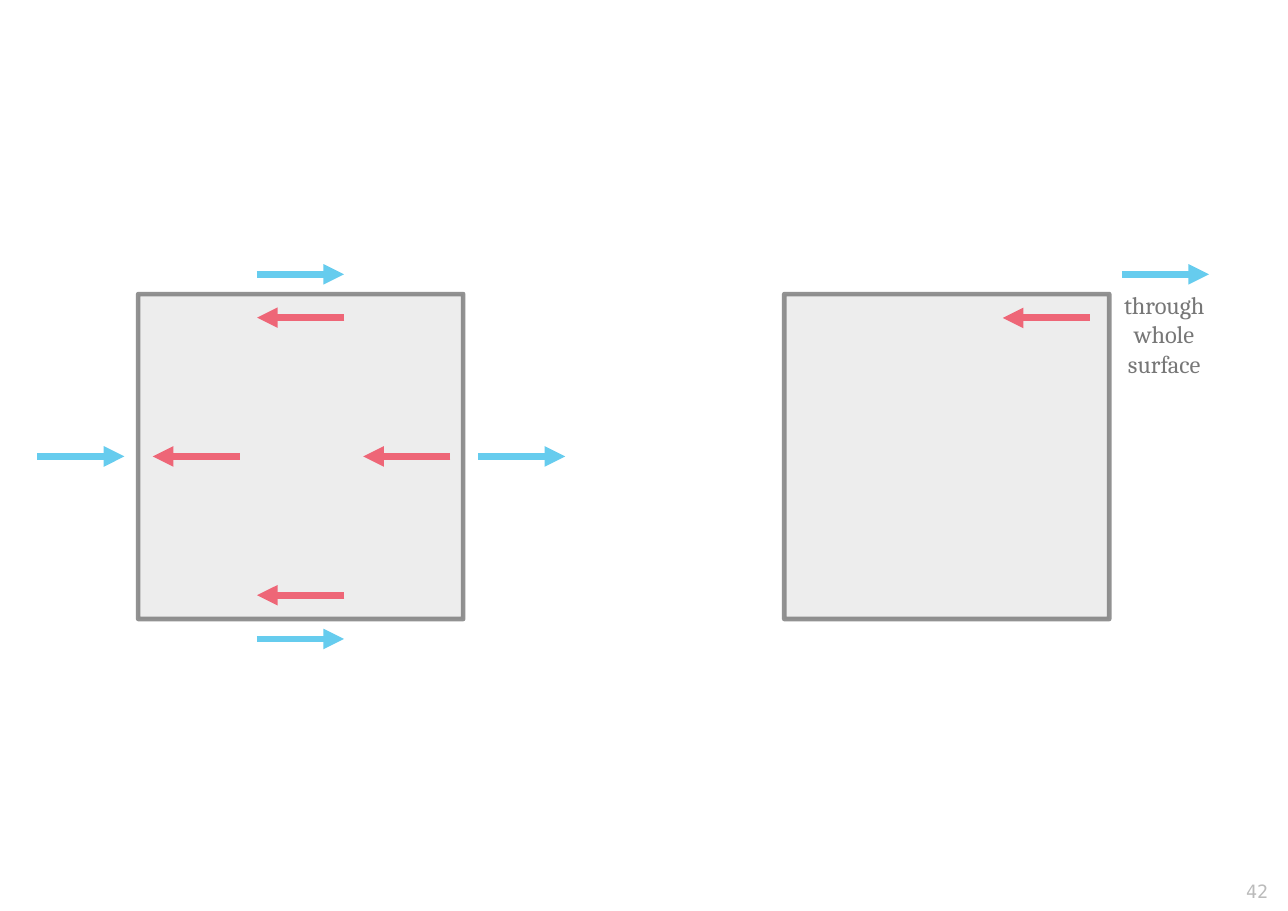
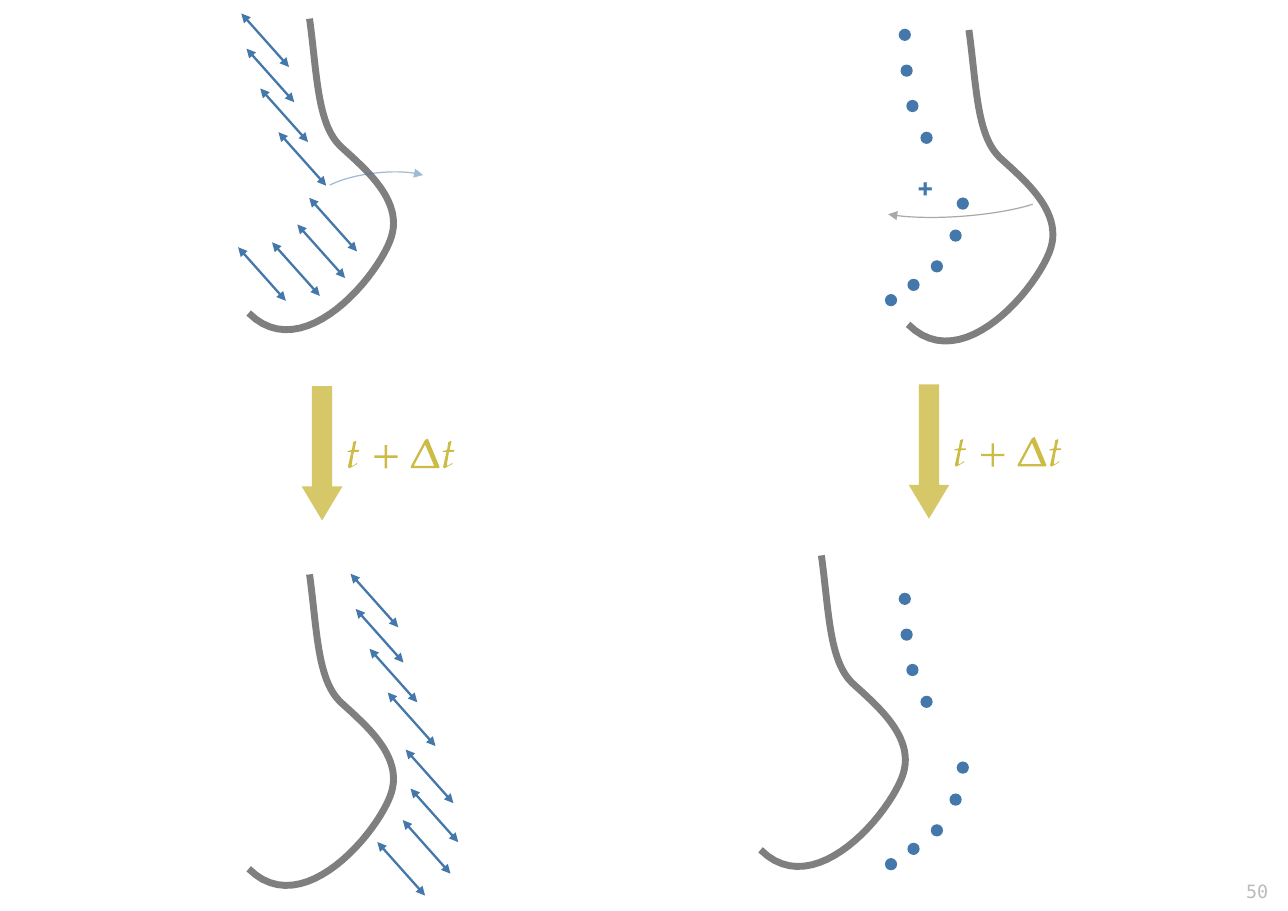
"""Build two slides on motion at surfaces: arrows around squares and moving curves."""
from dataclasses import dataclass
from typing import NamedTuple

from lxml.etree import SubElement
from pptx import Presentation
from pptx.dml.color import RGBColor
from pptx.enum.shapes import MSO_CONNECTOR as Connector, MSO_SHAPE as Preset
from pptx.enum.text import MSO_AUTO_SIZE as AutoSize, PP_ALIGN as Align
from pptx.oxml.ns import qn
from pptx.util import Pt

PAGE_WIDTH, PAGE_HEIGHT = 841.7, 595.4
SERIF, MONO = "Cambria", "DejaVu Sans Mono"
SILVER, GREY, DARK = "BBBBBB", "777777", "555555"
SKY, ROSE, BLUE, OLIVE = "66CCEE", "EE6677", "4477AA", "CCBB44"

SQUARE_SIDE = 212.4
SQUARE_TOP = 192.2
ARROW_LENGTH = 57
DOT_SIZE = 8
CURVE_STEPS = 24


class Point(NamedTuple):
    """A position in points."""
    x: float
    y: float

    def shift(self, right, down):
        """Return the point moved by the given distances."""
        return Point(self.x + right, self.y + down)


@dataclass(frozen=True)
class Box:
    """A frame in points."""
    left: float
    top: float
    width: float
    height: float

    def lengths(self):
        """Return the four lengths for python-pptx."""
        return Pt(self.left), Pt(self.top), Pt(self.width), Pt(self.height)


@dataclass(frozen=True)
class Arc:
    """A thin curved arrow."""
    box: Box
    rotation: float
    angles: tuple[float, float]
    color: str


@dataclass(frozen=True)
class Glyph:
    """A formula sign: its offset from the block arrow and its outlines."""
    offset: Point
    outlines: tuple


SQUARE_LEFTS = (90.3, 512.5)
OUTER_ARROWS = (Point(167.8, 179.3), Point(167.8, 417.6), Point(24.3, 298.3),
                Point(312.4, 298.3), Point(733.1, 179.3))
INNER_ARROWS = (Point(294.4, 298.3), Point(156.8, 298.3), Point(225, 389),
                Point(225, 207.6), Point(712.3, 207.8))

CURVE = (Point(0, 0), Point(5, 37), Point(5, 68.5), Point(20, 83.2), Point(35.6, 97.7),
         Point(61, 118), Point(53.5, 142.5), Point(46, 167), Point(-4, 228),
         Point(-39.8, 192.4))
CURVE_STARTS = (Point(202.3, 12.2), Point(202.3, 375.4), Point(633.2, 19.6),
                Point(536.8, 363))
SPAN = Point(31.2, 35)
UPPER_SPANS = (Point(157.7, 8.8), Point(161.1, 31.8), Point(170.1, 57.8), Point(182, 86.4))
LOWER_SPANS_BEFORE = (Point(202.1, 129.3), Point(194.3, 146.7), Point(177.8, 158.4),
                      Point(155.6, 161.6))
LOWER_SPANS_AFTER = (Point(265.1, 489.9), Point(268.3, 515.4), Point(263.2, 536),
                     Point(246.6, 550.3))
SPAN_SHIFT = Point(71.4, 366.2)
DOTS = (Point(587.3, 18.8), Point(588.5, 42.2), Point(592.3, 65.3), Point(601.5, 86.1),
        Point(625.2, 129.1), Point(620.5, 150), Point(608.3, 170.1),
        Point(593, 182.2), Point(578.3, 192.2))
DOT_DROP = 368.6
TIME_STEPS = (Point(197.2, 252.3), Point(593.8, 251.2))
ARCS = (Arc(Box(205.9, 113, 80.6, 26.6), 173.3, (9.928, 99.119), BLUE),
        Arc(Box(565.9, 114.8, 124.6, 26.6), 355.7, (6.567, 102.147), DARK))

LETTER_T = (((6.5, 15.1), (6.3, 14.5), (5, 15.6), (3.2, 16.6), (2.8, 15.8), (4, 8.6),
             (4.4, 7.3), (7.3, 7.3), (7.8, 6.1), (4.6, 6.1), (5.8, 0.7), (5.6, 0),
             (3.8, 1), (3, 6.1), (0.2, 6.8), (0, 7.4), (2.6, 7.4), (0.8, 15.1),
             (0.4, 17.2), (1.2, 18.1), (5.5, 15.8)),)
PLUS = (((15.2, 8.4), (15.2, 6.8), (8.4, 6.8), (8.4, 0), (6.8, 0), (6.8, 6.8), (0, 6.8),
         (0, 8.4), (6.8, 8.4), (6.8, 15.2), (8.4, 15.2), (8.4, 8.4)),)
DELTA = (((9.4, 0.8), (0, 18.2), (0.2, 19.2), (18.6, 19.2), (18.8, 18.4), (11.2, 0)),
         ((15, 17.8), (2.2, 17.8), (2.2, 17.4), (9.2, 4.2), (9.6, 4.2), (15.2, 17.5)))
FORMULA = (Glyph(Point(29.8, 35.7), LETTER_T), Glyph(Point(47.4, 38.6), PLUS),
           Glyph(Point(71.2, 34.4), DELTA), Glyph(Point(92, 35.7), LETTER_T))


def paint(target, color: str, opacity: int = 100) -> None:
    """Give a fill a solid colour and an opacity in percent."""
    target.solid()
    target.fore_color.rgb = RGBColor.from_string(color)
    if opacity < 100:
        for element in target._xPr.iter(qn("a:srgbClr")):
            SubElement(element, qn("a:alpha")).set("val", str(opacity * 1000))


def stroke(shape, color: str, width: float, opacity: int = 100, ends=()) -> None:
    """Style a line and put arrowheads at the named ends."""
    shape.line.width = Pt(width)
    paint(shape.line.fill, color, opacity)
    line_element = shape.line._get_or_add_ln()
    for end in ends:
        SubElement(line_element, qn(f"a:{end}")).set("type", "triangle")


def add_preset(slide, preset, box: Box, color: str = "", opacity: int = 100):
    """Add a preset shape without outline, filled if a colour is given."""
    shape = slide.shapes.add_shape(preset, *box.lengths())
    shape.shadow.inherit = False
    shape.line.fill.background()
    if color:
        paint(shape.fill, color, opacity)
    else:
        shape.fill.background()
    return shape


def add_outline(slide, outlines, corner: Point, close: bool):
    """Add a freeform of one or more outlines, placed from a corner."""
    first, *others = [[(Pt(corner.x + x), Pt(corner.y + y)) for x, y in outline]
                      for outline in outlines]
    builder = slide.shapes.build_freeform(*first[0])
    builder.add_line_segments(first[1:], close=close)
    for outline in others:
        builder.move_to(*outline[0])
        builder.add_line_segments(outline[1:], close=close)
    shape = builder.convert_to_shape()
    shape.shadow.inherit = False
    return shape


def add_arrow(slide, start: Point, end: Point, color: str, width: float,
              ends=("tailEnd",)) -> None:
    """Add a straight arrow."""
    connector = slide.shapes.add_connector(
        Connector.STRAIGHT, Pt(start.x), Pt(start.y), Pt(end.x), Pt(end.y))
    stroke(connector, color, width, ends=ends)
    SubElement(connector._element.spPr, qn("a:effectLst"))


def add_text(slide, text: str, box: Box, *, size: float, color: str, font: str = SERIF,
             align=Align.LEFT, bold: bool = False) -> None:
    """Add a text box with one paragraph per line of text."""
    frame = slide.shapes.add_textbox(*box.lengths()).text_frame
    frame.word_wrap = False
    frame.auto_size = AutoSize.SHAPE_TO_FIT_TEXT
    frame.text = text
    for paragraph in frame.paragraphs:
        paragraph.alignment = align
        for run in paragraph.runs:
            run.font.name, run.font.size, run.font.bold = font, Pt(size), bold
            run.font.color.rgb = RGBColor.from_string(color)


def bezier(controls, t: float) -> Point:
    """Return the point at t on a cubic curve."""
    weights = ((1 - t) ** 3, 3 * t * (1 - t) ** 2, 3 * t ** 2 * (1 - t), t ** 3)
    return Point(sum(w * p.x for w, p in zip(weights, controls)),
                 sum(w * p.y for w, p in zip(weights, controls)))


def add_curve(slide, start: Point) -> None:
    """Draw the bent surface from its start point."""
    points = [CURVE[0]] + [bezier(CURVE[first:first + 4], step / CURVE_STEPS)
                           for first in range(0, len(CURVE) - 1, 3)
                           for step in range(1, CURVE_STEPS + 1)]
    shape = add_outline(slide, [points], start, close=False)
    shape.fill.background()
    stroke(shape, DARK, 4.5, 75)


def add_time_step(slide, corner: Point) -> None:
    """Add the block arrow and its formula."""
    arrow = add_preset(slide, Preset.DOWN_ARROW, Box(*corner, 26.6, 87.8), OLIVE, 80)
    arrow.adjustments[0], arrow.adjustments[1] = 0.5, 0.833
    for glyph in FORMULA:
        shape = add_outline(slide, glyph.outlines, corner.shift(*glyph.offset), close=True)
        paint(shape.fill, OLIVE)
        shape.line.fill.background()


def add_arc(slide, arc: Arc) -> None:
    """Add a curved arrow."""
    shape = add_preset(slide, Preset.ARC, arc.box)
    shape.rotation = arc.rotation
    shape.adjustments[0], shape.adjustments[1] = arc.angles
    stroke(shape, arc.color, 0.79, 50, ends=("tailEnd",))


def add_numbered_slide(presentation, number: int):
    """Add a blank slide with its number in the corner."""
    slide = presentation.slides.add_slide(presentation.slide_layouts[6])
    add_text(slide, str(number), Box(763.9, 571.7, 72, 20.9), size=12, color=SILVER,
             font=MONO, align=Align.RIGHT)
    return slide


def build_squares(presentation) -> None:
    """Build the slide with arrows around two squares."""
    slide = add_numbered_slide(presentation, 42)
    for left in SQUARE_LEFTS:
        box = Box(left, SQUARE_TOP, SQUARE_SIDE, SQUARE_SIDE)
        square = add_preset(slide, Preset.RECTANGLE, box, SILVER, 25)
        stroke(square, GREY, 3, 80)
    for starts, color, reach in ((OUTER_ARROWS, SKY, ARROW_LENGTH),
                                 (INNER_ARROWS, ROSE, -ARROW_LENGTH)):
        for start in starts:
            add_arrow(slide, start, start.shift(reach, 0), color, 4.5)
    add_text(slide, "through\nwhole\nsurface", Box(723, 186, 75.6, 72), size=16,
             color=GREY, align=Align.CENTER)


def build_motion(presentation) -> None:
    """Build the slide with curves before and after a time step."""
    slide = add_numbered_slide(presentation, 50)
    for start in CURVE_STARTS:
        add_curve(slide, start)
    moved = tuple(point.shift(*SPAN_SHIFT) for point in UPPER_SPANS)
    for point in UPPER_SPANS + LOWER_SPANS_BEFORE + moved + LOWER_SPANS_AFTER:
        add_arrow(slide, point.shift(*SPAN), point, BLUE, 1.5, ("headEnd", "tailEnd"))
    for drop in (0, DOT_DROP):
        for dot in DOTS:
            add_preset(slide, Preset.OVAL, Box(*dot.shift(0, drop), DOT_SIZE, DOT_SIZE), BLUE)
    for corner in TIME_STEPS:
        add_time_step(slide, corner)
    for arc in ARCS:
        add_arc(slide, arc)
    add_text(slide, "+", Box(591.5, 105.1, 26.6, 36), size=21, color=BLUE, bold=True)


def main() -> None:
    """Build and save the presentation."""
    presentation = Presentation()
    presentation.slide_width, presentation.slide_height = Pt(PAGE_WIDTH), Pt(PAGE_HEIGHT)
    build_squares(presentation)
    build_motion(presentation)
    presentation.save("out.pptx")


if __name__ == "__main__":
    main()
